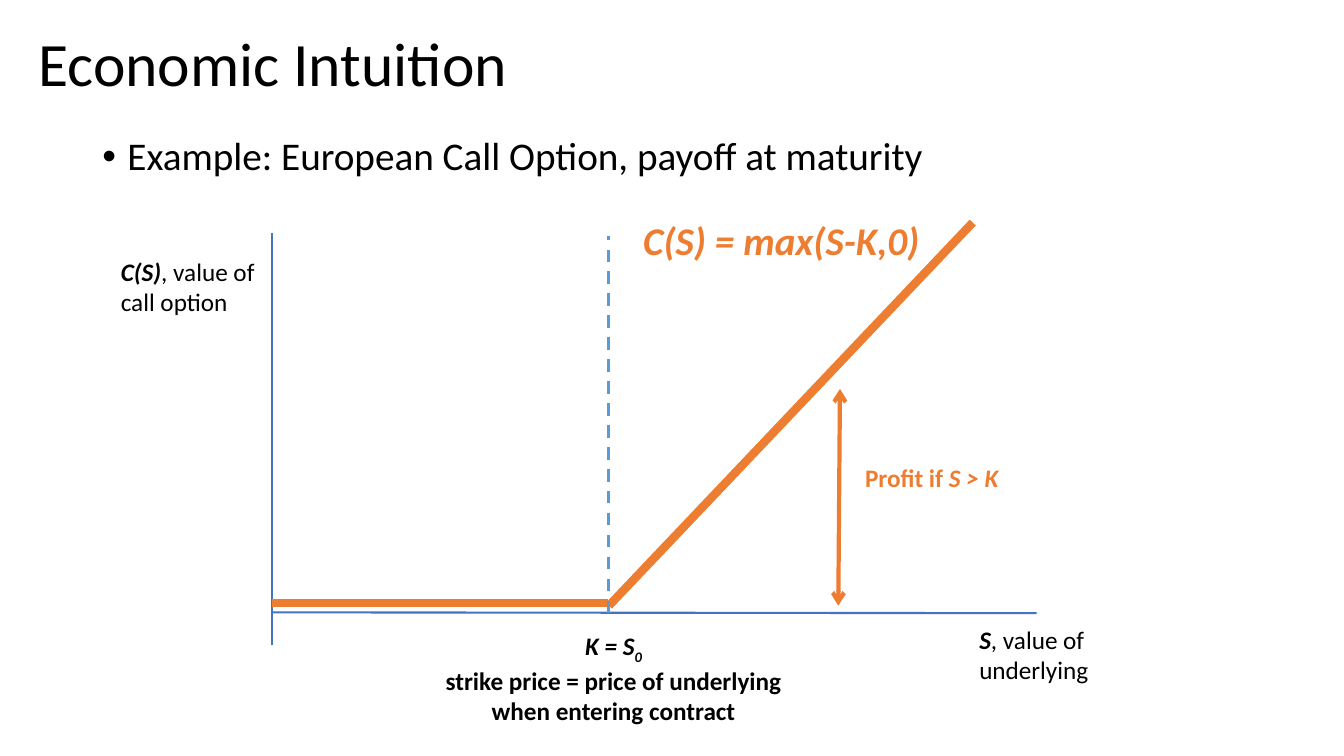
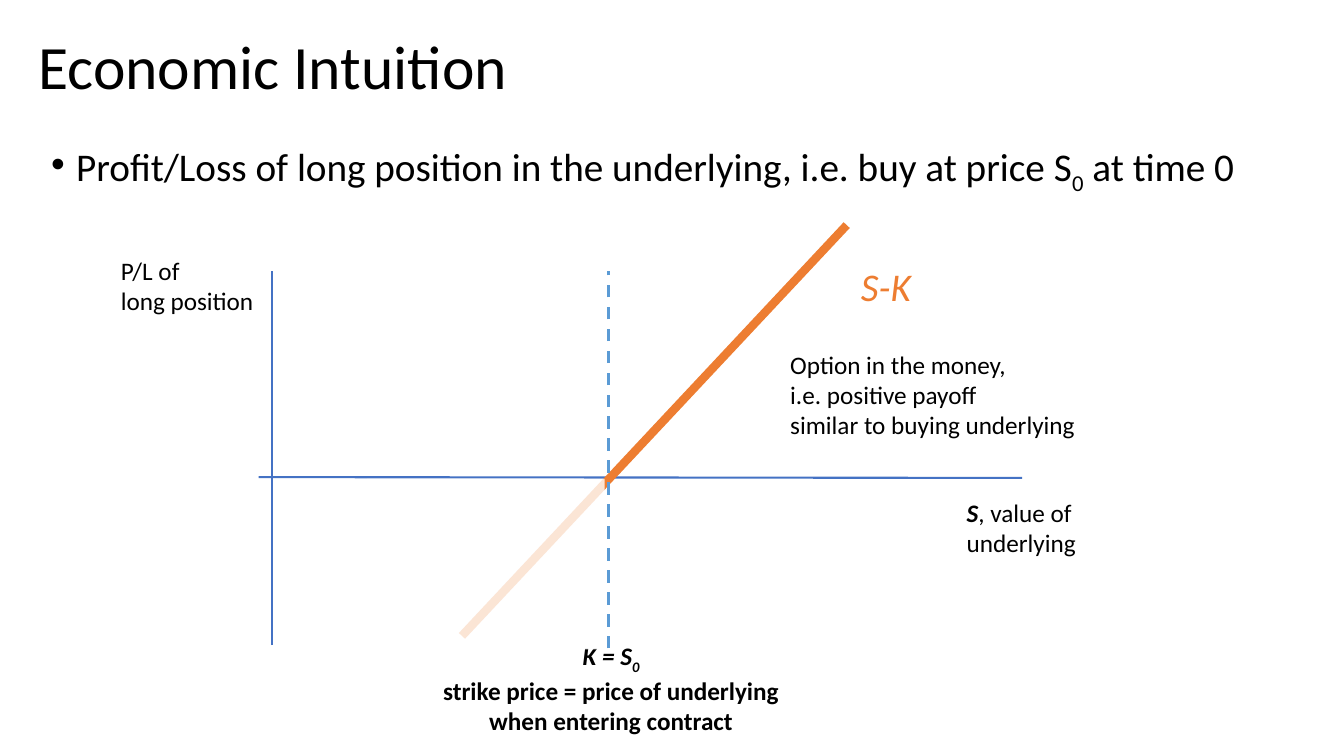
from pptx import Presentation
from pptx.dml.color import RGBColor
from pptx.enum.dml import MSO_LINE
from pptx.enum.shapes import MSO_CONNECTOR, MSO_SHAPE
from pptx.enum.text import MSO_ANCHOR, MSO_AUTO_SIZE, PP_ALIGN
from pptx.oxml.ns import qn
from pptx.util import Inches, Pt
from lxml.etree import SubElement

COLORS = {
    "text": "000000",
    "axis": "4472C4",
    "strike": "5B9BD5",
    "payoff": "ED7D31",
    "veil": "FFFFFF",
}
FONT = "Calibri"
TITLE_SIZE, LARGE_SIZE, LABEL_SIZE = 44, 28, 18
CELL = Inches(1) / 12  # the slide is 160 columns by 90 rows
VALUE_AXIS, STRIKE = 32.4, 72.4  # columns
AXIS_BOTTOM = 76.8  # row
STRIKE_LABEL = [
    [("K = S", "bi"), ("0", "bi_")],
    [("strike price = price of underlying", "b")],
    [("when entering contract", "b")],
]
UNDERLYING_LABEL = [[("S", "bi"), (", value of", "")], [("underlying", "")]]


def cells(*counts):
    return [round(count * CELL) for count in counts]


def color(name):
    return RGBColor.from_string(COLORS[name])


class Deck:
    def __init__(self):
        self.presentation = Presentation()
        self.presentation.slide_width, self.presentation.slide_height = cells(160, 90)
        self.slide = None

    def style(self, paragraph, size, color_name="text"):
        font = paragraph.font
        font.name, font.size = FONT, Pt(size)
        font.color.rgb = color(color_name)

    def add_runs(self, paragraph, runs):
        """Add (text, flags) runs; flags are b bold, i italic, _ subscript."""
        for text, flags in runs:
            run = paragraph.add_run()
            run.text = text
            run.font.bold = "b" in flags
            run.font.italic = "i" in flags
            if "_" in flags:
                run._r.get_or_add_rPr().set("baseline", "-25000")

    def new_slide(self, title, top):
        layout = self.presentation.slide_layouts[5]
        self.slide = self.presentation.slides.add_slide(layout)
        shape = self.slide.shapes.title
        shape.left, shape.top, shape.width, shape.height = cells(0, top, 138, 15.5)
        frame = shape.text_frame
        frame.text = title
        frame.auto_size = MSO_AUTO_SIZE.NONE
        frame.vertical_anchor = MSO_ANCHOR.MIDDLE
        frame.margin_left = Inches(0.38)
        paragraph = frame.paragraphs[0]
        paragraph.alignment = PP_ALIGN.LEFT
        paragraph.line_spacing = 0.9
        self.style(paragraph, TITLE_SIZE)

    def bullet(self, left, top, width, runs):
        box = self.slide.shapes.add_textbox(*cells(left, top, width, 10.5))
        box.text_frame.word_wrap = True
        paragraph = box.text_frame.paragraphs[0]
        paragraph.line_spacing = 0.9
        paragraph.space_before = Pt(10)
        self.style(paragraph, LARGE_SIZE)
        self.add_runs(paragraph, runs)
        properties = paragraph._p.get_or_add_pPr()
        properties.set("marL", str(Inches(0.25)))
        properties.set("indent", str(-Inches(0.25)))
        font_properties = properties.find(qn("a:defRPr"))
        bullet_font = SubElement(properties, qn("a:buFont"), typeface="Arial")
        bullet_character = SubElement(properties, qn("a:buChar"), char="•")
        font_properties.addprevious(bullet_font)
        font_properties.addprevious(bullet_character)

    def label(self, left, top, width, lines, size=LABEL_SIZE, color_name="text",
              alignment=PP_ALIGN.LEFT):
        height = len(lines) * size / 5 + 1.2
        box = self.slide.shapes.add_textbox(*cells(left, top, width, height))
        frame = box.text_frame
        frame.word_wrap = False
        frame.auto_size = MSO_AUTO_SIZE.SHAPE_TO_FIT_TEXT
        for index, runs in enumerate(lines):
            paragraph = frame.add_paragraph() if index else frame.paragraphs[0]
            paragraph.alignment = alignment
            self.style(paragraph, size, color_name)
            self.add_runs(paragraph, runs)

    def line(self, start, end, color_name, width, dashed=False, arrows=False):
        connector = self.slide.shapes.add_connector(
            MSO_CONNECTOR.STRAIGHT, *cells(*start, *end))
        connector.line.color.rgb = color(color_name)
        connector.line.width = Pt(width)
        if dashed:
            connector.line.dash_style = MSO_LINE.DASH
        if arrows:
            outline = connector.line._get_or_add_ln()
            for end_name in ("a:headEnd", "a:tailEnd"):
                SubElement(outline, qn(end_name), type="arrow")
        SubElement(connector._element.spPr, qn("a:effectLst"))

    def payoff_line(self, start, end):
        self.line(start, end, "payoff", 6)

    def axes(self, left, right, row, top):
        self.line((left, row), (right, row + 0.1), "axis", 1.5)
        self.line((VALUE_AXIS, AXIS_BOTTOM), (VALUE_AXIS, top), "axis", 1.5)

    def strike_line(self, bottom, top):
        self.line((STRIKE, bottom), (STRIKE, top), "strike", 2.25, dashed=True)

    def strike_label(self, left, top):
        self.label(left, top, 42.7, STRIKE_LABEL, alignment=PP_ALIGN.CENTER)

    def underlying_label(self, left, top):
        self.label(left, top, 15.7, UNDERLYING_LABEL)

    def veil(self, left, top, width, height, opacity):
        shape = self.slide.shapes.add_shape(
            MSO_SHAPE.RECTANGLE, *cells(left, top, width, height))
        shape.shadow.inherit = False
        shape.line.fill.background()
        shape.fill.solid()
        shape.fill.fore_color.rgb = color("veil")
        fill_color = shape._element.spPr.find(qn("a:solidFill"))[0]
        SubElement(fill_color, qn("a:alpha"), val=str(opacity * 1000))


def call_option_slide(deck):
    deck.new_slide("Economic Intuition", 0.2)
    deck.bullet(11, 15.7, 138,
                [("Example: European Call Option, payoff at maturity", "")])
    deck.axes(VALUE_AXIS, 123.4, 72.9, 27.7)
    deck.label(13.2, 29.9, 19.2,
               [[("C(S)", "bi"), (", value of", "")], [("call option", "")]])
    deck.payoff_line((VALUE_AXIS, 71.8), (STRIKE, 71.8))
    deck.payoff_line((72.5, 72.1), (115.8, 26.5))
    deck.strike_label(51.7, 74.5)
    deck.strike_line(73, 28.1)
    deck.underlying_label(115.4, 73.7)
    deck.label(75.4, 25.1, 35.8, [[("C(S) = max(S-K,0)", "bi")]],
               LARGE_SIZE, "payoff")
    deck.line((99.8, 72.1), (100, 46.3), "payoff", 3, arrows=True)
    deck.label(101.8, 54.4, 18.6, [[("Profit if ", "b"), ("S > K", "bi")]],
               color_name="payoff")


def long_position_slide(deck):
    deck.new_slide("Economic Intuition", 0.5)
    deck.bullet(4.9, 16.4, 150, [
        ("Profit/Loss of long position in the underlying, i.e. buy at price S", ""),
        ("0", "_"), (" at time 0", "")])
    deck.axes(30.8, 121.7, 56.8, 32.3)
    deck.label(13.2, 29.8, 18.4, [[("P/L of", "")], [("long position", "")]])
    deck.payoff_line((55, 75.7), (100.8, 26.8))
    deck.strike_line(77.2, 32.3)
    deck.underlying_label(113.9, 58.6)
    deck.label(101.3, 30.6, 8.5, [[("S-K", "i")]], LARGE_SIZE, "payoff")
    deck.strike_label(51.4, 75.7)
    deck.veil(43.7, 57, 28.3, 20.3, opacity=80)
    deck.label(92.9, 41, 36.7, [[("Option in the money,", "")],
                                [("i.e. positive payoff", "")],
                                [("similar to buying underlying", "")]])


def main():
    deck = Deck()
    call_option_slide(deck)
    long_position_slide(deck)
    deck.presentation.save("out.pptx")


if __name__ == "__main__":
    main()
